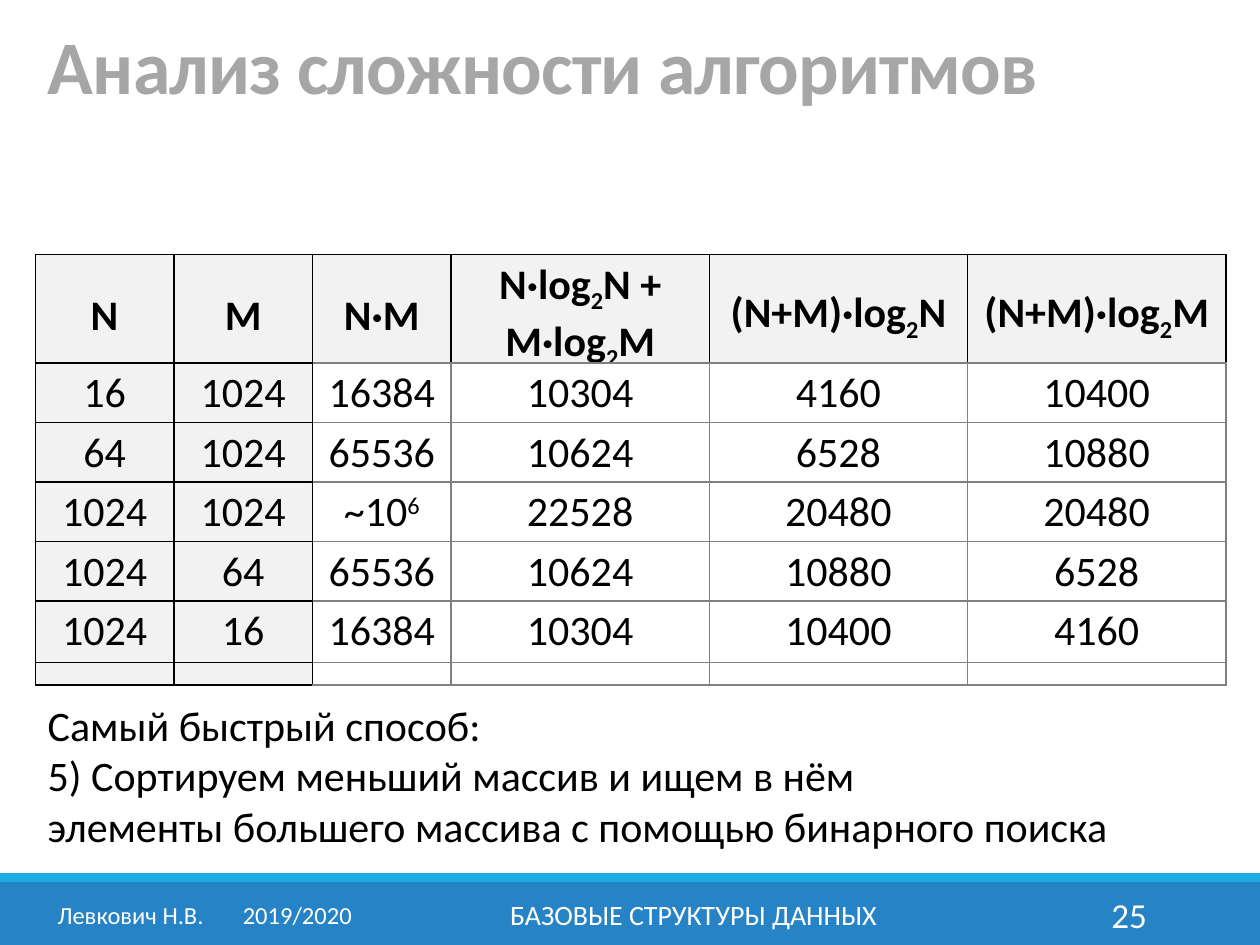
from lxml import etree
from pptx import Presentation
from pptx.dml.color import RGBColor
from pptx.enum.shapes import MSO_SHAPE
from pptx.enum.text import MSO_ANCHOR, PP_ALIGN
from pptx.oxml.ns import qn
from pptx.util import Inches, Pt

LEFT, CENTER, RIGHT = PP_ALIGN.LEFT, PP_ALIGN.CENTER, PP_ALIGN.RIGHT
MIDDLE, BOTTOM, TOP = MSO_ANCHOR.MIDDLE, MSO_ANCHOR.BOTTOM, MSO_ANCHOR.TOP

COLORS = {"blue": "2683C6", "cyan": "1CADE4", "white": "FFFFFF",
          "black": "000000", "title": "A6A6A6", "grid": "808080",
          "label": "F2F2F2"}
FONT = "Calibri"

TITLE = "Анализ сложности алгоритмов"
# Text between bars is a subscript in the header and a superscript in the rows
HEADER = ["N", "M", "N·M", "N·log|2|N + M·log|2|M",
          "(N+M)·log|2|N", "(N+M)·log|2|M"]
ROWS = [
    ["16", "1024", "16384", "10304", "4160", "10400"],
    ["64", "1024", "65536", "10624", "6528", "10880"],
    ["1024", "1024", "~10|6|", "22528", "20480", "20480"],
    ["1024", "64", "65536", "10624", "10880", "6528"],
    ["1024", "16", "16384", "10304", "10400", "4160"],
]
CONCLUSION = ["Самый быстрый способ:",
              "5) Сортируем меньший массив и ищем в нём\v"
              "элементы большего массива с помощью бинарного поиска"]
BANDS = [("blue", 7, 0.5), ("cyan", 6.93, 0.07)]
# text, left, width, size, alignment, tab stop
FOOTER = [
    ("БАЗОВЫЕ СТРУКТУРЫ ДАННЫХ", 3.02, 4.97, 16, CENTER, None),
    ("25", 8.12, 1.08, 20, RIGHT, None),
    ("Левкович Н.В.\t2019/2020", 0.32, 2.61, 14, CENTER, 1.47),
]

MARGIN, CONTENT_W = 0.28, 9.45
COL_WIDTHS = [1.1] * 3 + [2.05] * 3
LABEL_COLS = 2
TABLE_TOP, HEADER_H, ROW_H = 2.02, 0.83, 0.48
FIRST_ROW_TOP, ROW_STEP = 2.88, 0.4725


def rgb(name):
    return RGBColor.from_string(COLORS[name])


def style(p, size, color, align=LEFT, bold=False):
    p.alignment = align
    p.font.name, p.font.size, p.font.bold = FONT, Pt(size), bold
    p.font.color.rgb = rgb(color)


def add_text(slide, lines, box, size, color, align=LEFT, anchor=TOP, tab=None):
    tf = slide.shapes.add_textbox(*map(Inches, box)).text_frame
    tf.word_wrap, tf.vertical_anchor = True, anchor
    for i, line in enumerate(lines):
        p = tf.paragraphs[0] if i == 0 else tf.add_paragraph()
        p.text = line
        if tab:
            tabs = etree.SubElement(p._p.get_or_add_pPr(), qn("a:tabLst"))
            etree.SubElement(tabs, qn("a:tab"), pos=str(Inches(tab)), algn="l")
        style(p, size, color, align)


def set_borders(cell, colors):
    """Draw 1 pt borders; colors are for left, right, top and bottom."""
    tcPr = cell._tc.get_or_add_tcPr()
    for i, (side, color) in enumerate(zip("LRTB", colors)):
        ln = etree.Element(qn(f"a:ln{side}"), w=str(Pt(1)))
        fill = etree.SubElement(ln, qn("a:solidFill"))
        etree.SubElement(fill, qn("a:srgbClr"), val=COLORS[color])
        tcPr.insert(i, ln)


def fill_cell(cell, text, col, header=False, below_header=False):
    cell.vertical_anchor = MIDDLE
    cell.margin_left = cell.margin_right = Inches(0.1)
    cell.margin_top = cell.margin_bottom = Inches(0.04)
    p = cell.text_frame.paragraphs[0]
    for i, part in enumerate(text.split("|")):
        if part:
            r = p.add_run()
            r.text = part
            if i % 2:
                shift = "-25000" if header else "30000"
                r._r.get_or_add_rPr().set("baseline", shift)
    style(p, 24, "black", CENTER, header)

    label = header or col < LABEL_COLS
    cell.fill.solid()
    cell.fill.fore_color.rgb = rgb("label" if label else "white")
    line = "black" if label else "grid"
    left = "black" if col == LABEL_COLS else line
    top = "black" if below_header else line
    set_borders(cell, [left, line, top, line])


def add_grid(slide, rows, top, heights, has_header=False):
    table = slide.shapes.add_table(
        len(rows), len(COL_WIDTHS), Inches(MARGIN), Inches(top),
        Inches(CONTENT_W), Inches(sum(heights))).table
    table.first_row = table.horz_banding = False
    for column, width in zip(table.columns, COL_WIDTHS):
        column.width = Inches(width)
    for i, (texts, height) in enumerate(zip(rows, heights)):
        table.rows[i].height = Inches(height)
        for j, text in enumerate(texts):
            fill_cell(table.cell(i, j), text, j,
                      has_header and i == 0, has_header and i == 1)


def main():
    prs = Presentation()
    prs.slide_width, prs.slide_height = Inches(10), Inches(7.5)
    s = prs.slides.add_slide(prs.slide_layouts[5])

    for color, top, height in BANDS:
        band = s.shapes.add_shape(MSO_SHAPE.RECTANGLE, 0, Inches(top),
                                  prs.slide_width, Inches(height))
        band.shadow.inherit = False
        band.fill.solid()
        band.fill.fore_color.rgb = rgb(color)
        band.line.fill.background()

    title = s.shapes.title
    title.left, title.top = Inches(MARGIN), Inches(0)
    title.width, title.height = Inches(8.25), Inches(0.92)
    title.text_frame.vertical_anchor = BOTTOM
    p = title.text_frame.paragraphs[0]
    p.text = TITLE
    p.line_spacing = 0.85
    style(p, 43.2, "title", bold=True)
    p.runs[0]._r.get_or_add_rPr().set("spc", "-50")

    # The base grid holds the header; each result row lies over it as its own
    # table, so that rows can be revealed one at a time.
    blank_rows = [[""] * len(HEADER) for _ in ROWS]
    add_grid(s, [HEADER] + blank_rows, TABLE_TOP,
             [HEADER_H] + [ROW_H] * len(ROWS), has_header=True)
    for i, row in enumerate(ROWS):
        add_grid(s, [row], FIRST_ROW_TOP + i * ROW_STEP, [ROW_H])

    for text, left, width, size, align, tab in FOOTER:
        add_text(s, [text], (left, 7.06, width, 0.4), size, "white",
                 align, MIDDLE, tab)
    add_text(s, CONCLUSION, (MARGIN, 5.5, CONTENT_W, 1.31), 24, "black")

    prs.save("out.pptx")


if __name__ == "__main__":
    main()
